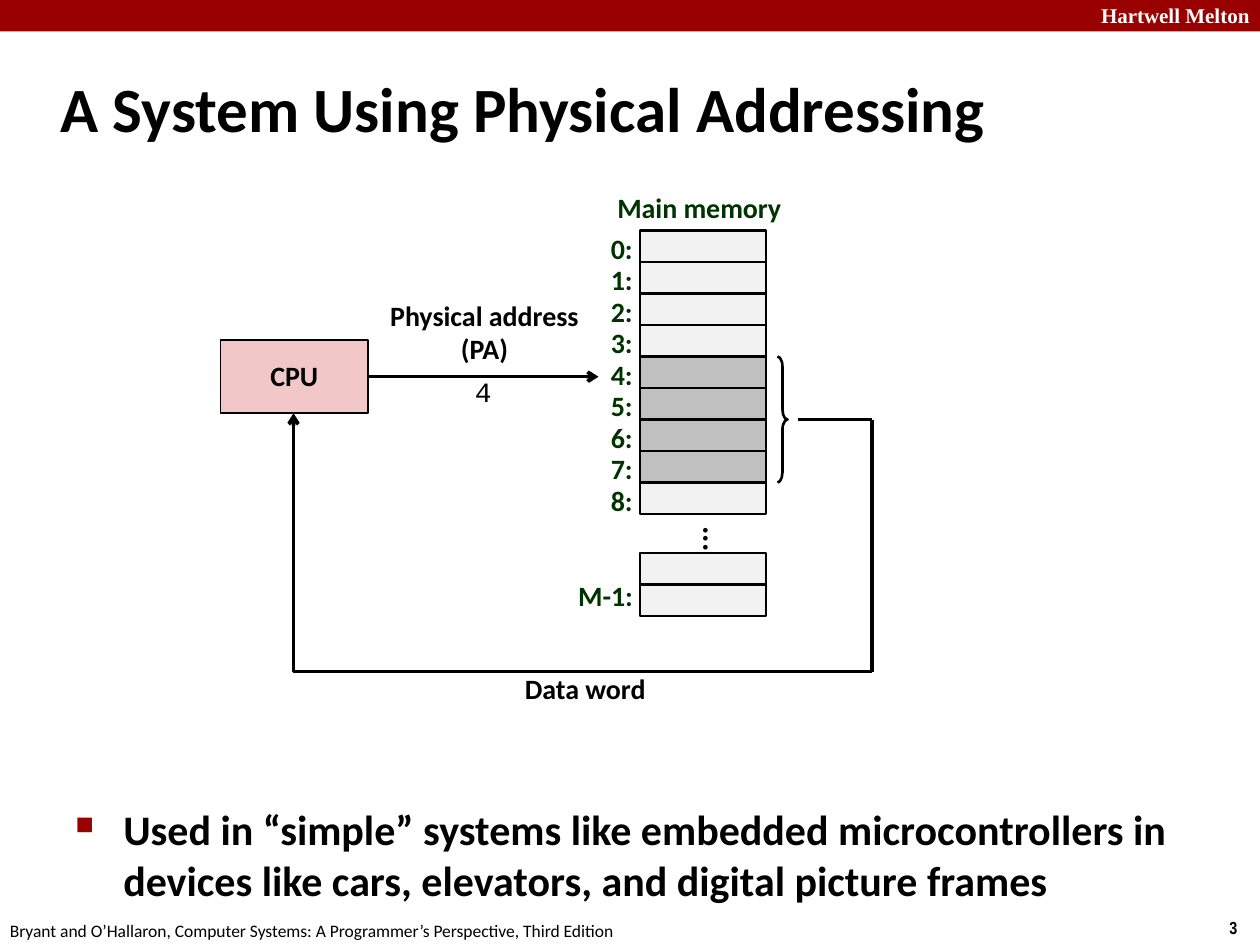
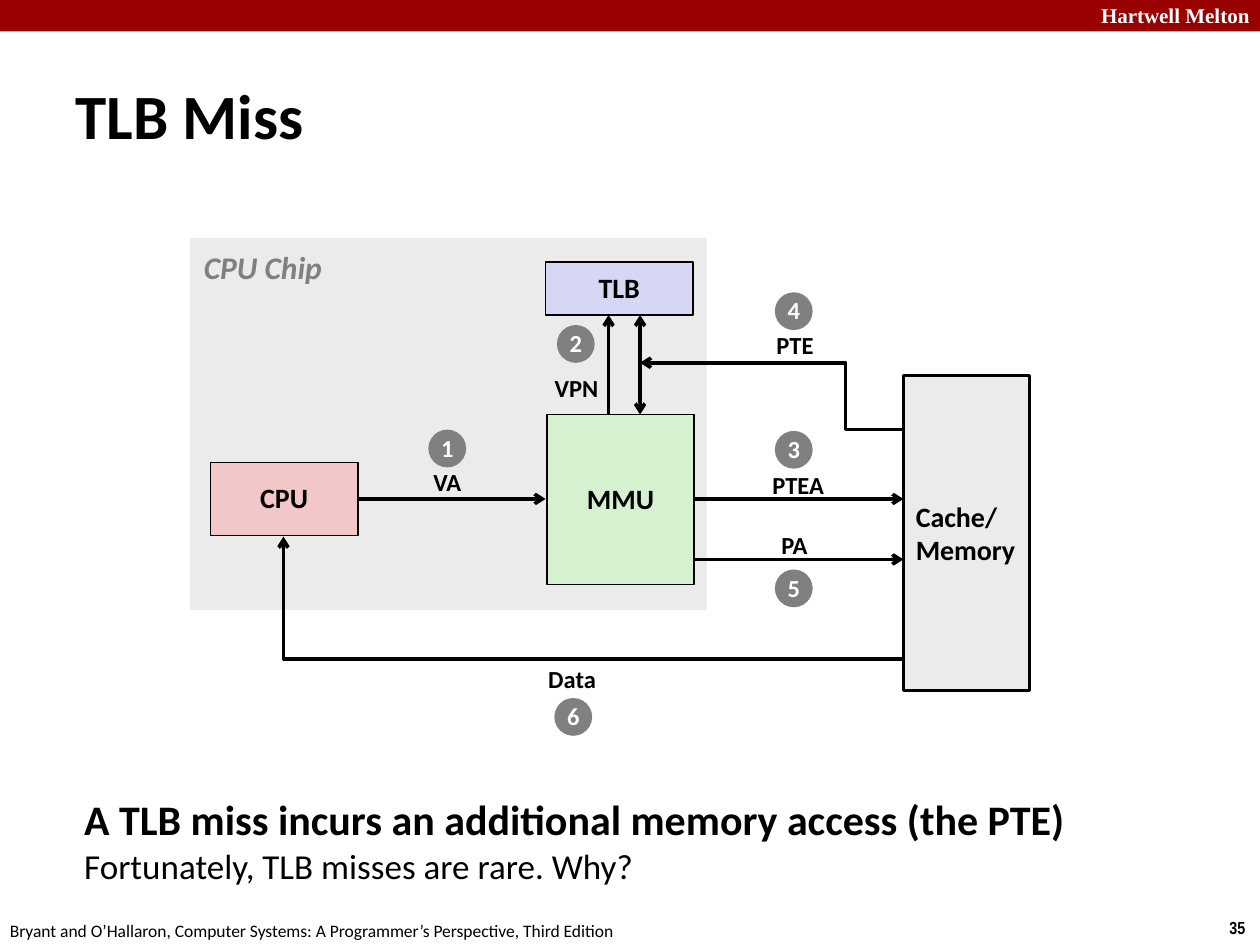
from lxml import etree
from pptx import Presentation
from pptx.dml.color import RGBColor
from pptx.enum.shapes import MSO_CONNECTOR, MSO_SHAPE
from pptx.enum.text import MSO_ANCHOR, MSO_AUTO_SIZE, PP_ALIGN
from pptx.oxml.ns import qn
from pptx.util import Inches, Pt

RECTANGLE, OVAL, BRACE = MSO_SHAPE.RECTANGLE, MSO_SHAPE.OVAL, MSO_SHAPE.RIGHT_BRACE
STRAIGHT, ELBOW = MSO_CONNECTOR.STRAIGHT, MSO_CONNECTOR.ELBOW
TOP, MIDDLE = MSO_ANCHOR.TOP, MSO_ANCHOR.MIDDLE
LEFT, CENTER = PP_ALIGN.LEFT, PP_ALIGN.CENTER
NO_AUTOFIT = MSO_AUTO_SIZE.NONE
TITLE_ONLY = 5

COLORS = {
    "band": "990000", "ink": "000000", "paper": "FFFFFF", "address": "003300",
    "cell": "F2F2F2", "word": "C0C0C0", "cpu": "F1C7C7", "mmu": "D5F1CF",
    "tlb": "D6D6F5", "chip": "EBEBEB", "step": "808080",
}
BASE = {"size": 16, "name": "Calibri", "bold": True, "italic": False, "color": "ink",
        "align": LEFT, "anchor": TOP, "wrap": False, "spacing": 1.0, "before": 0}
CENTERED = {"align": CENTER, "anchor": MIDDLE, "spacing": 0.98}
STYLES = {
    "title": {"size": 36, "anchor": MIDDLE, "wrap": True},
    "owner": {"size": 12, "name": "Times New Roman", "color": "paper", "wrap": True},
    "number": {"size": 10, "name": "Arial Narrow"},
    "source": {"size": 10, "bold": False},
    "body": {"size": 24, "wrap": True, "before": 4.8},
    "block": CENTERED,
    "memory": {"anchor": MIDDLE},
    "label": {**CENTERED, "size": 14},
    "step": {**CENTERED, "size": 14, "color": "paper"},
    "dots": {**CENTERED, "size": 18},
    "address": {"color": "address", "spacing": 0.88, "before": 6},
    "heading": {"color": "address", "spacing": 0.88, "before": 6, "align": CENTER},
    "value": {"name": "Courier New", "bold": False},
    "chip": {"size": 18, "italic": True, "color": "step"},
}


def color(name):
    """Return the named colour."""
    return RGBColor.from_string(COLORS[name])


def place(origin, left, top, width, height):
    """Turn a box relative to an origin into four lengths."""
    return [Inches(value) for value in (origin[0] + left, origin[1] + top, width, height)]


def format_font(font, values):
    """Set the font from a dict of format values."""
    for name in ("name", "bold", "italic"):
        setattr(font, name, values[name])
    font.size = Pt(values["size"])
    font.color.rgb = color(values["color"])


def write(shape, lines, style):
    """Write one paragraph per line in the given style."""
    values = {**BASE, **STYLES[style]}
    frame = shape.text_frame
    settings = {"auto_size": NO_AUTOFIT, "word_wrap": values["wrap"],
                "vertical_anchor": values["anchor"]}
    for name, value in settings.items():
        setattr(frame, name, value)
    frame.text = lines
    for paragraph in frame.paragraphs:
        settings = {"alignment": values["align"], "line_spacing": values["spacing"],
                    "space_before": Pt(values["before"])}
        for name, value in settings.items():
            setattr(paragraph, name, value)
        for run in paragraph.runs:
            format_font(run.font, values)
    return shape


def add_text(slide, box, lines, style):
    """Add a text box."""
    return write(slide.shapes.add_textbox(*box), lines, style)


def add_block(slide, box, fill, line=0, kind=RECTANGLE, lines="", style="block"):
    """Add a preset shape with optional fill, outline and text."""
    shape = slide.shapes.add_shape(kind, *box)
    shape.shadow.inherit = False
    if fill:
        shape.fill.solid()
        shape.fill.fore_color.rgb = color(fill)
    else:
        shape.fill.background()
    if line:
        shape.line.width = Pt(line)
        shape.line.color.rgb = color("ink")
    else:
        shape.line.fill.background()
    if lines:
        write(shape, lines, style)
    return shape


def add_line(slide, origin, start, end, ends=("tailEnd",), bend=None):
    """Add a straight line, or an elbow turning at the share bend of its width."""
    points = [Inches(origin[axis] + point[axis]) for point in (start, end) for axis in (0, 1)]
    connector = slide.shapes.add_connector(STRAIGHT if bend is None else ELBOW, *points)
    connector.line.width = Pt(2)
    connector.line.color.rgb = color("ink")
    properties = connector._element.spPr
    for name in ends:
        etree.SubElement(properties.find(qn("a:ln")), qn("a:" + name), type="arrow")
    etree.SubElement(properties, qn("a:effectLst"))
    if bend is not None:
        guides = properties.find(qn("a:prstGeom")).get_or_add_avLst()
        etree.SubElement(guides, qn("a:gd"), name="adj1", fmla=f"val {round(bend * 100000)}")


def set_hanging(paragraph, indent):
    """Give a paragraph a hanging indent and return its properties."""
    properties = paragraph._p.get_or_add_pPr()
    properties.set("marL", str(Inches(indent)))
    properties.set("indent", str(-Inches(indent)))
    return properties


def add_bullet(paragraph):
    """Put a small square bullet before a paragraph."""
    properties = set_hanging(paragraph, 0.38)
    tint = etree.SubElement(properties, qn("a:buClr"))
    etree.SubElement(tint, qn("a:srgbClr"), val=COLORS["band"])
    etree.SubElement(properties, qn("a:buSzPct"), val="60000")
    etree.SubElement(properties, qn("a:buChar"), char="■")


def start_slide(presentation, title, number, origin):
    """Add a slide with its band, footer and title."""
    slide = presentation.slides.add_slide(presentation.slide_layouts[TITLE_ONLY])
    page = (0, 0)
    add_block(slide, place(page, 0, 0, 10, 0.25), "band")
    add_text(slide, place(page, 8.64, -0.03, 1.43, 0.3), "Hartwell Melton", "owner")
    add_text(slide, place(page, 9.66, 7.23, 0.34, 0.27), number, "number")
    add_text(slide, place(page, -0.02, 7.25, 5.08, 0.27),
             "Bryant and O’Hallaron, Computer Systems: A Programmer’s Perspective, Third Edition",
             "source")
    placeholder = slide.shapes.title
    box = place(origin, 0, 0, 9.53, 0.86)
    for name, value in zip(("left", "top", "width", "height"), box):
        setattr(placeholder, name, value)
    write(placeholder, title, "title")
    set_hanging(placeholder.text_frame.paragraphs[0], 0.13)
    return slide


def draw_memory(slide, origin):
    """Draw the numbered memory cells with the addressed word marked."""
    pitch = 0.25
    add_text(slide, place(origin, 0.04, 0, 1.52, 0.33), "Main memory", "heading")
    for address in range(9):
        top = 0.33 + address * pitch
        fill = "word" if 4 <= address <= 7 else "cell"
        add_block(slide, place(origin, 0.33, top, 1, pitch), fill, 1.5)
        add_text(slide, place(origin, 0, top - 0.01, 0.37, 0.33), f"{address}:", "address")
    for row in range(2):
        add_block(slide, place(origin, 0.33, 2.89 + row * pitch, 1, pitch), "cell", 1.5)
    add_text(slide, place(origin, -0.26, 3.08, 0.64, 0.33), "M-1:", "address")
    dots = add_text(slide, place(origin, 0.42, 2.58, 1, 0.25), "...", "dots")
    dots.text_frame._txBody.bodyPr.set("vert", "eaVert")
    dots.text_frame.paragraphs[0]._p.get_or_add_pPr().set("rtl", "1")
    brace = add_block(slide, place(origin, 1.42, 1.33, 0.08, 1), None, 1.5, BRACE)
    brace.adjustments[0] = 1.0


def draw_physical_addressing(slide, origin):
    """Draw the CPU, the memory and the paths between them."""
    draw_memory(slide, (origin[0] + 3, origin[1]))
    add_block(slide, place(origin, 0, 1.2, 1.17, 0.58), "cpu", 1, lines="CPU")
    add_text(slide, place(origin, 1.24, 0.83, 1.71, 0.63), "Physical address\n(PA)", "block")
    add_text(slide, place(origin, 2.31, 3.79, 1.17, 0.37), "Data word", "block")
    add_text(slide, place(origin, 1.92, 1.42, 0.34, 0.37), "4", "value")
    corner, turn = (5.17, 1.83), (5.17, 3.83)
    add_line(slide, origin, (1.17, 1.49), (3, 1.49))
    add_line(slide, origin, (4.58, 1.83), corner, ())
    add_line(slide, origin, corner, turn, ())
    add_line(slide, origin, turn, (0.58, 1.78), bend=1)


def draw_tlb_miss(slide, origin):
    """Draw the chip, the memory and the six steps of a miss."""
    blocks = [
        ("", "chip", 0, 0, 0, 4.1, 2.95),
        ("MMU", "mmu", 1, 2.83, 1.4, 1.17, 1.35),
        ("CPU", "cpu", 1, 0.16, 1.78, 1.17, 0.58),
        ("TLB", "tlb", 1, 2.82, 0.19, 1.17, 0.42),
    ]
    for name, fill, line, *box in blocks:
        add_block(slide, place(origin, *box), fill, line, lines=name)
    add_block(slide, place(origin, 5.66, 1.09, 1, 2.5), "chip", 1.5,
              lines="Cache/\nMemory", style="memory")
    add_text(slide, place(origin, 0.01, 0.03, 1.16, 0.4), "CPU Chip", "chip")
    steps = [
        ("VA", (1.83, 1.78, 0.42), (1.89, 1.52)),
        ("VPN", (2.79, 1.03, 0.55), (2.91, 0.69)),
        ("PTEA", (4.52, 1.8, 0.61), (4.64, 1.53)),
        ("PTE", (4.55, 0.69, 0.5), (4.64, 0.43)),
        ("PA", (4.59, 2.28, 0.41), (4.64, 2.63)),
        ("Data", (2.74, 3.34, 0.58), (2.89, 3.65)),
    ]
    for number, (name, label, disc) in enumerate(steps, 1):
        add_text(slide, place(origin, *label, 0.33), name, "label")
        add_block(slide, place(origin, *disc, 0.3, 0.3), "step", kind=OVAL,
                  lines=str(number), style="step")
    arrows = [((1.33, 2.07), (2.82, 2.07)), ((3.99, 2.07), (5.66, 2.07)),
              ((3.99, 2.55), (5.66, 2.55)), ((3.32, 1.4), (3.32, 0.61))]
    for start, end in arrows:
        add_line(slide, origin, start, end)
    add_line(slide, origin, (3.57, 0.61), (3.57, 1.4), ("headEnd", "tailEnd"))
    add_line(slide, origin, (5.66, 3.34), (0.74, 2.37), bend=1)
    add_line(slide, origin, (5.66, 1.52), (3.57, 0.99), bend=0.22)


def add_usage_note(slide, origin):
    """Add the bulleted note on where physical addressing is used."""
    note = add_text(slide, place(origin, 0, 0, 9.09, 0.96),
                    "Used in “simple” systems like embedded microcontrollers in "
                    "devices like cars, elevators, and digital picture frames", "body")
    add_bullet(note.text_frame.paragraphs[0])


def add_miss_note(slide, origin):
    """Add the conclusion and its lighter second line."""
    note = add_text(slide, place(origin, 0, 0, 8.43, 1),
                    "A TLB miss incurs an additional memory access (the PTE)", "body")
    paragraph = note.text_frame.paragraphs[0]
    paragraph.add_line_break()
    run = paragraph.add_run()
    run.text = "Fortunately, TLB misses are rare. Why?"
    format_font(run.font, {**BASE, "size": 20, "bold": False})


def main():
    """Build and save the presentation."""
    presentation = Presentation()
    presentation.slide_width, presentation.slide_height = Inches(10), Inches(7.5)
    slide = start_slide(presentation, "A System Using Physical Addressing", "3", (0.38, 0.42))
    draw_physical_addressing(slide, (1.75, 1.5))
    add_usage_note(slide, (0.5, 6.33))
    slide = start_slide(presentation, "TLB Miss", "35", (0.5, 0.48))
    draw_tlb_miss(slide, (1.51, 1.89))
    add_miss_note(slide, (0.57, 6.25))
    presentation.save("out.pptx")


main()
